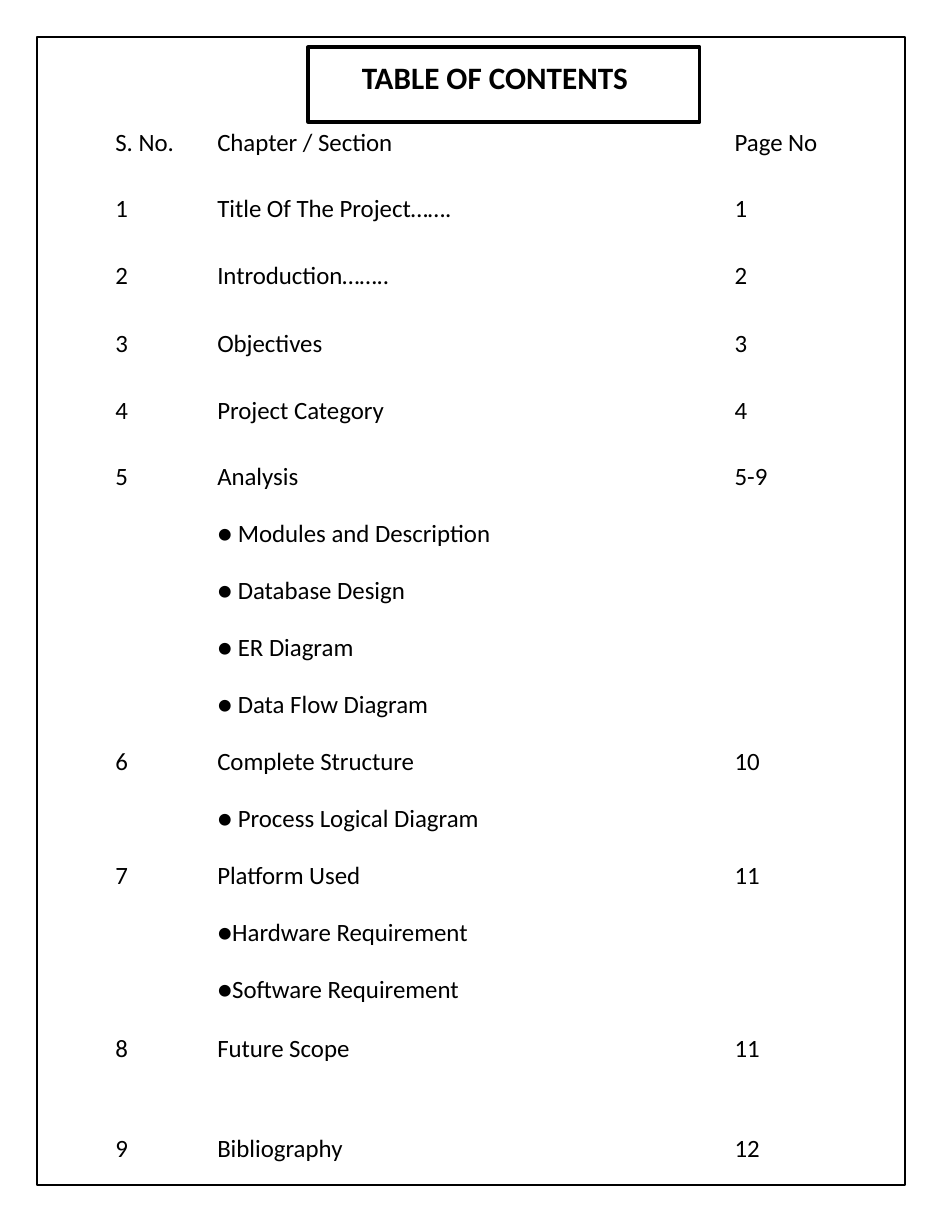
from dataclasses import dataclass
from pptx import Presentation
from pptx.dml.color import RGBColor
from pptx.enum.shapes import MSO_SHAPE
from pptx.enum.text import MSO_ANCHOR, MSO_AUTO_SIZE, PP_ALIGN
from pptx.util import Inches, Pt

COLORS = {"ink": "000000"}
FONT = "Calibri"
COLS = [0.76, 3.92, 1.72]
INDENTS = [0.03, 0.18, 0.88]


@dataclass
class Entry:
    number: str
    title: str
    page: str
    height: float
    top: float = 0.24  # gap above the first line
    items: tuple[str, ...] = ()  # text that follows each bullet
    line: float | None = None  # exact line spacing in points


ENTRIES = [
    Entry("S. No.", "Chapter / Section", "Page No", 0.33, top=0, line=17.6),
    Entry("1", "Title Of The Project…….", "1", 0.59, top=0.23),
    Entry("2", "Introduction……..", "2", 0.6),
    Entry("3", "Objectives", "3", 0.6, top=0.25),
    Entry("4", "Project Category", "4", 0.59),
    Entry("5", "Analysis", "5-9", 2.51,
          items=(" Modules and Description", " Database Design", " ER Diagram", " Data Flow Diagram")),
    Entry("6", "Complete Structure", "10", 1.01, items=(" Process Logical Diagram",)),
    Entry("7", "Platform Used", "11", 1.51, items=("Hardware Requirement", "Software Requirement")),
    Entry("8", "Future Scope", "11", 0.94, top=0.25),
    Entry("9", "Bibliography", "12", 0.48, top=0.22, line=18.5),
]


def add_run(p, text: str, size: float = 16, bold: bool = False) -> None:
    r = p.add_run()
    r.text = text
    r.font.name, r.font.size, r.font.bold = FONT, Pt(size), bold
    r.font.color.rgb = RGBColor.from_string(COLORS["ink"])


def fill_cell(cell, text: str, indent: float, entry: Entry, items: tuple[str, ...] = ()) -> None:
    cell.fill.background()
    cell.vertical_anchor = MSO_ANCHOR.TOP
    cell.margin_left, cell.margin_top = Inches(indent), Inches(entry.top)
    cell.margin_right = cell.margin_bottom = 0
    p = cell.text_frame.paragraphs[0]
    if entry.line:
        p.line_spacing = Pt(entry.line)
    add_run(p, text)
    for item in items:
        p = cell.text_frame.add_paragraph()
        p.space_before = Pt(17.1)
        add_run(p, "●", bold=True)
        add_run(p, item)


def add_frame(s, left: float, top: float, width: float, height: float, weight: float) -> None:
    sp = s.shapes.add_shape(MSO_SHAPE.RECTANGLE, Inches(left), Inches(top), Inches(width), Inches(height))
    sp.shadow.inherit = False
    sp.fill.background()
    sp.line.color.rgb = RGBColor.from_string(COLORS["ink"])
    sp.line.width = Pt(weight)


prs = Presentation()
prs.slide_width, prs.slide_height = Inches(8.5), Inches(11)
s = prs.slides.add_slide(prs.slide_layouts[5])

# Title
sp = s.shapes.title
sp.left, sp.top, sp.width, sp.height = Inches(3.23), Inches(0.5), Inches(2.42), Inches(0.35)
tf = sp.text_frame
tf.auto_size, tf.word_wrap, tf.vertical_anchor = MSO_AUTO_SIZE.NONE, True, MSO_ANCHOR.TOP
tf.margin_left = tf.margin_right = tf.margin_bottom = 0
tf.margin_top = Inches(0.02)
p = tf.paragraphs[0]
p.alignment = PP_ALIGN.LEFT
add_run(p, "TABLE OF CONTENTS", size=20, bold=True)

# Contents table
height = sum(e.height for e in ENTRIES)
table = s.shapes.add_table(len(ENTRIES), len(COLS), Inches(1), Inches(1.17),
                           Inches(sum(COLS)), Inches(height)).table
table.first_row = table.horz_banding = False
for col, width in zip(table.columns, COLS):
    col.width = Inches(width)
for row, entry in zip(table.rows, ENTRIES):
    row.height = Inches(entry.height)
    texts = (entry.number, entry.title, entry.page)
    bullets = ((), entry.items, ())
    for cell, text, indent, items in zip(row.cells, texts, INDENTS, bullets):
        fill_cell(cell, text, indent, entry, items)

# Title box and page border
add_frame(s, 2.75, 0.42, 3.5, 0.67, 2)
add_frame(s, 0.33, 0.33, 7.75, 10.25, 1.5)

prs.save("out.pptx")
